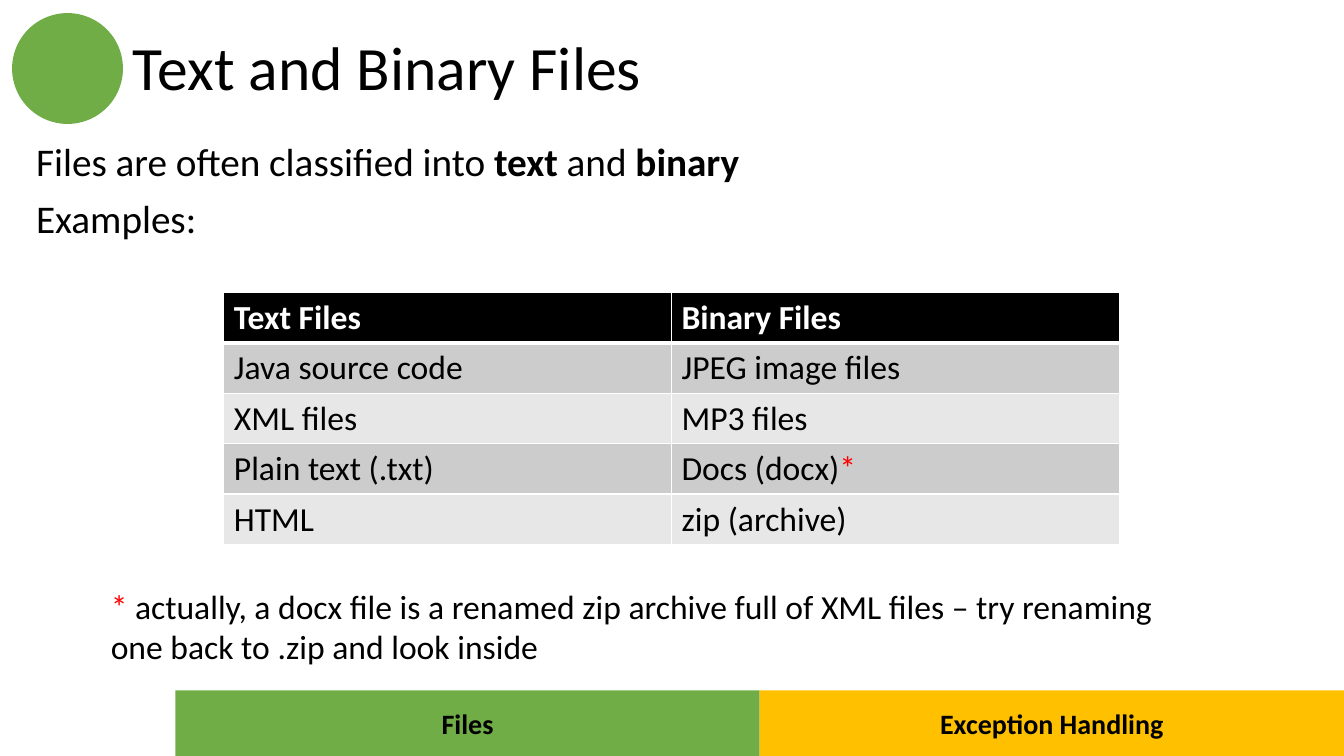
from lxml import etree
from pptx import Presentation
from pptx.dml.color import RGBColor
from pptx.enum import shapes, text
from pptx.oxml import ns
from pptx.util import Inches, Pt

COLORS = {
    "black": "000000", "white": "FFFFFF", "red": "FF0000",
    "green": "70AD47", "amber": "FFC000",
    "band_dark": "CCCCCC", "band_light": "E7E7E7",
}
FILE_TYPES = [
    ("Text Files", "Binary Files"),
    ("Java source code", "JPEG image files"),
    ("XML files", "MP3 files"),
    ("Plain text (.txt)", "Docs (docx)*"),
    ("HTML", "zip (archive)"),
]


def rgb(name):
    return RGBColor.from_string(COLORS[name])


def add_runs(p, parts, size, color="black", bold=False):
    """Write the parts in turn; an asterisk is red, a part in a tuple is bold."""
    for part in parts:
        r = p.add_run()
        r.text = part[0] if isinstance(part, tuple) else part
        r.font.name = "Calibri"
        r.font.size = Pt(size)
        r.font.bold = bold or isinstance(part, tuple)
        r.font.color.rgb = rgb("red" if part == "*" else color)


def add_text(s, box, paragraphs, size, spacing=1.0, before=0,
             anchor=text.MSO_ANCHOR.TOP):
    tf = s.shapes.add_textbox(*map(Inches, box)).text_frame
    tf.word_wrap = True
    tf.vertical_anchor = anchor
    for i, parts in enumerate(paragraphs):
        p = tf.add_paragraph() if i else tf.paragraphs[0]
        p.line_spacing = spacing
        if i and before:
            p.space_before = Pt(before)
        add_runs(p, parts, size)


def add_block(s, kind, box, color):
    sp = s.shapes.add_shape(kind, *map(Inches, box))
    sp.shadow.inherit = False
    sp.fill.solid()
    sp.fill.fore_color.rgb = rgb(color)
    sp.line.fill.background()
    return sp


def add_header(s, left, top, width):
    """Green disc with the title to its right."""
    disc = 1.1
    add_block(s, shapes.MSO_SHAPE.OVAL, (left, top, disc, disc), "green")
    add_text(s, (left + disc, top + 0.09, width - disc, 0.97),
             [["Text and Binary Files"]], 44, 0.9, anchor=text.MSO_ANCHOR.MIDDLE)


def set_borders(cell, bottom):
    tcPr = cell._tc.get_or_add_tcPr()
    widths = {"lnL": 1, "lnR": 1, "lnT": 1, "lnB": bottom}
    for i, (tag, width) in enumerate(widths.items()):
        ln = etree.Element(ns.qn("a:" + tag), w=str(Pt(width)))
        fill = etree.SubElement(ln, ns.qn("a:solidFill"))
        etree.SubElement(fill, ns.qn("a:srgbClr"), val=COLORS["white"])
        tcPr.insert(i, ln)


def add_file_table(s, left, top, width, height):
    rows, cols = len(FILE_TYPES), len(FILE_TYPES[0])
    table = s.shapes.add_table(rows, cols, *map(Inches, (left, top, width, height))).table
    for i, labels in enumerate(FILE_TYPES):
        header = i == 0
        band = "black" if header else "band_dark" if i % 2 else "band_light"
        for j, label in enumerate(labels):
            cell = table.cell(i, j)
            cell.fill.solid()
            cell.fill.fore_color.rgb = rgb(band)
            set_borders(cell, 3 if header else 1)
            parts = [label[:-1], "*"] if label.endswith("*") else [label]
            add_runs(cell.text_frame.paragraphs[0], parts, 24,
                     "white" if header else "black", header)


def add_footer(s, left, top, width, height):
    """Course sections in equal tabs along the bottom edge."""
    tabs = [("Files", "green"), ("Exception Handling", "amber")]
    tab_width = width / len(tabs)
    for i, (label, color) in enumerate(tabs):
        sp = add_block(s, shapes.MSO_SHAPE.RECTANGLE,
                       (left + i * tab_width, top, tab_width, height), color)
        tf = sp.text_frame
        tf.vertical_anchor = text.MSO_ANCHOR.MIDDLE
        p = tf.paragraphs[0]
        p.alignment = text.PP_ALIGN.CENTER
        add_runs(p, [label], 20, bold=True)


def main():
    prs = Presentation()
    prs.slide_width, prs.slide_height = Inches(13.33), Inches(7.5)
    s = prs.slides.add_slide(prs.slide_layouts[6])

    add_header(s, 0.12, 0.13, 12.83)
    # Introduction
    add_text(s, (0.26, 1.37, 12.7, 1.3),
             [["Files are often classified into ", ("text",), " and ", ("binary",)],
              ["Examples:"]], 28, 0.9, before=10)
    add_file_table(s, 2.22, 2.9, 8.88, 2.5)
    # Footnote
    add_text(s, (1, 5.76, 10.55, 0.91),
             [["*", " actually, a docx file is a renamed zip archive full of XML files"
                    " – try renaming one back to .zip and look inside"]], 24)
    add_footer(s, 1.74, 6.85, 11.59, 0.65)

    prs.save("out.pptx")


if __name__ == "__main__":
    main()
